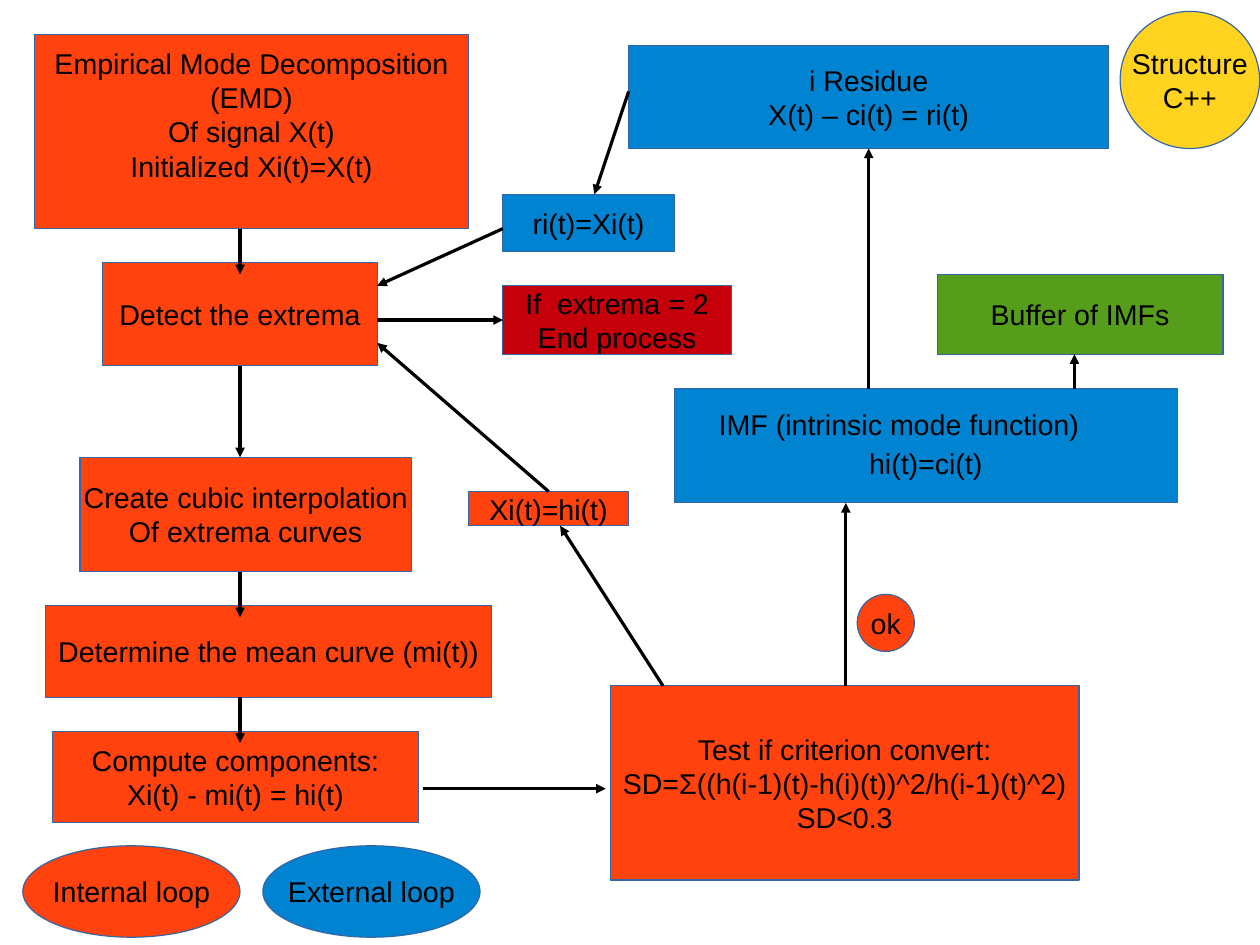
from lxml.etree import SubElement
from pptx import Presentation
from pptx.dml.color import RGBColor
from pptx.enum.shapes import MSO_CONNECTOR as Connector, MSO_SHAPE as Preset
from pptx.enum.text import MSO_ANCHOR as Anchor, PP_ALIGN as Align
from pptx.oxml.ns import qn
from pptx.util import Cm, Inches, Pt

ORANGE = RGBColor(0xFF, 0x42, 0x0E)
BLUE = RGBColor(0x00, 0x84, 0xD1)
GREEN = RGBColor(0x57, 0x9D, 0x1C)
RED = RGBColor(0xC5, 0x00, 0x0B)
YELLOW = RGBColor(0xFF, 0xD3, 0x20)
OUTLINE = RGBColor(0x34, 0x65, 0xA4)
BLACK = RGBColor(0, 0, 0)

FONT = {"name": "Arial", "size": Pt(18)}
FRAME = {
    "margin_left": Inches(0.1), "margin_right": Inches(0.1),
    "margin_top": Inches(0.05), "margin_bottom": Inches(0.05),
    "vertical_anchor": Anchor.MIDDLE, "word_wrap": False,
}
LINE_SPACE = Inches(0.35)  # inset that keeps one text line free

# Left, top, width, height, fill, text, frame changes
BOXES = [
    # Internal loop
    (0.3, 0.3, 3.8, 1.7, ORANGE,
     "Empirical Mode Decomposition\n(EMD)\nOf signal X(t)\nInitialized Xi(t)=X(t)",
     {"margin_bottom": LINE_SPACE}),
    (0.9, 2.3, 2.4, 0.9, ORANGE, "Detect the extrema", {}),
    (0.7, 4, 2.9, 1, ORANGE, "Create cubic interpolation\nOf extrema curves", {}),
    (0.4, 5.3, 3.9, 0.8, ORANGE, "Determine the mean curve (mi(t))", {}),
    (0.46, 6.4, 3.2, 0.8, ORANGE, "Compute components:\nXi(t) - mi(t) = hi(t)", {}),
    (5.34, 6, 4.1, 1.7, ORANGE,
     "Test if criterion convert:\nSD=Σ((h(i-1)(t)-h(i)(t))^2/h(i-1)(t)^2)\nSD<0.3", {}),
    (4.1, 4.3, 1.4, 0.3, ORANGE, "Xi(t)=hi(t)", {}),
    # External loop
    (5.9, 3.4, 4.4, 1, BLUE, "hi(t)=ci(t)", {"margin_top": LINE_SPACE}),
    (5.5, 0.4, 4.2, 0.9, BLUE, "i Residue\nX(t) – ci(t) = ri(t)", {}),
    (4.4, 1.7, 1.5, 0.5, BLUE, "ri(t)=Xi(t)", {}),
    # Results
    (8.2, 2.4, 2.5, 0.7, GREEN, "Buffer of IMFs", {}),
    (4.4, 2.5, 2, 0.6, RED, "If  extrema = 2\nEnd process", {}),
]

ELLIPSES = [
    (7.5, 5.2, 0.5, 0.5, ORANGE, "ok", {}),
    (0.2, 7.4, 1.9, 0.8, ORANGE, "Internal loop", {}),
    (2.3, 7.4, 1.9, 0.8, BLUE, "External loop", {}),
    (9.8, 0.1, 1.22, 1.2, YELLOW, "Structure\nC++", {}),
]

# Start x, start y, end x, end y
ARROWS = [
    # Down the internal loop
    (2.1, 2, 2.1, 2.4),
    (2.1, 3.2, 2.1, 4),
    (2.1, 5, 2.1, 5.4),
    (2.1, 6.1, 2.1, 6.5),
    (3.7, 6.9, 5.3, 6.9),
    # Back to the extrema
    (5.8, 6, 4.9, 4.6),
    (4.8, 4.3, 3.3, 3),
    (3.3, 2.8, 4.4, 2.8),
    # Round the external loop
    (7.4, 6, 7.4, 4.4),
    (9.4, 3.4, 9.4, 3.1),
    (7.6, 3.4, 7.6, 1.3),
    (5.5, 0.8, 5.2, 1.7),
    (4.4, 2, 3.3, 2.5),
]


def apply_format(target, values):
    for name, value in values.items():
        setattr(target, name, value)


def write_text(shape, text, frame_changes):
    frame = shape.text_frame
    apply_format(frame, {**FRAME, **frame_changes})
    frame.text = text
    for paragraph in frame.paragraphs:
        paragraph.alignment = Align.CENTER
        font = paragraph.runs[0].font
        apply_format(font, FONT)
        font.color.rgb = BLACK


def add_node(slide, preset, left, top, width, height, fill, text, frame_changes):
    shape = slide.shapes.add_shape(
        preset, Inches(left), Inches(top), Inches(width), Inches(height))
    shape.shadow.inherit = False
    shape.fill.solid()
    shape.fill.fore_color.rgb = fill
    shape.line.color.rgb = OUTLINE
    shape.line.width = Pt(0)  # hairline
    write_text(shape, text, frame_changes)


def add_label(slide, left, top, width, height, text):
    label = slide.shapes.add_textbox(
        Inches(left), Inches(top), Inches(width), Inches(height))
    write_text(label, text, {"word_wrap": True, "vertical_anchor": Anchor.TOP})


def add_arrow(slide, *ends):
    arrow = slide.shapes.add_connector(
        Connector.STRAIGHT, *(Inches(end) for end in ends))
    arrow.line.color.rgb = BLACK
    arrow.line.width = Pt(0)  # hairline
    properties = arrow._element.spPr
    SubElement(properties.find(qn("a:ln")), qn("a:tailEnd"), type="triangle")
    SubElement(properties, qn("a:effectLst"))


def main():
    presentation = Presentation()
    presentation.slide_width = Cm(28)
    presentation.slide_height = Cm(21)
    slide = presentation.slides.add_slide(presentation.slide_layouts[6])

    # Flow chart boxes
    for box in BOXES:
        add_node(slide, Preset.RECTANGLE, *box)
    add_label(slide, 6.03, 3.51, 3.67, 0.39, "IMF (intrinsic mode function)")

    # Legend and marks
    for ellipse in ELLIPSES:
        add_node(slide, Preset.OVAL, *ellipse)

    # Flow
    for arrow in ARROWS:
        add_arrow(slide, *arrow)

    presentation.save("out.pptx")


main()
